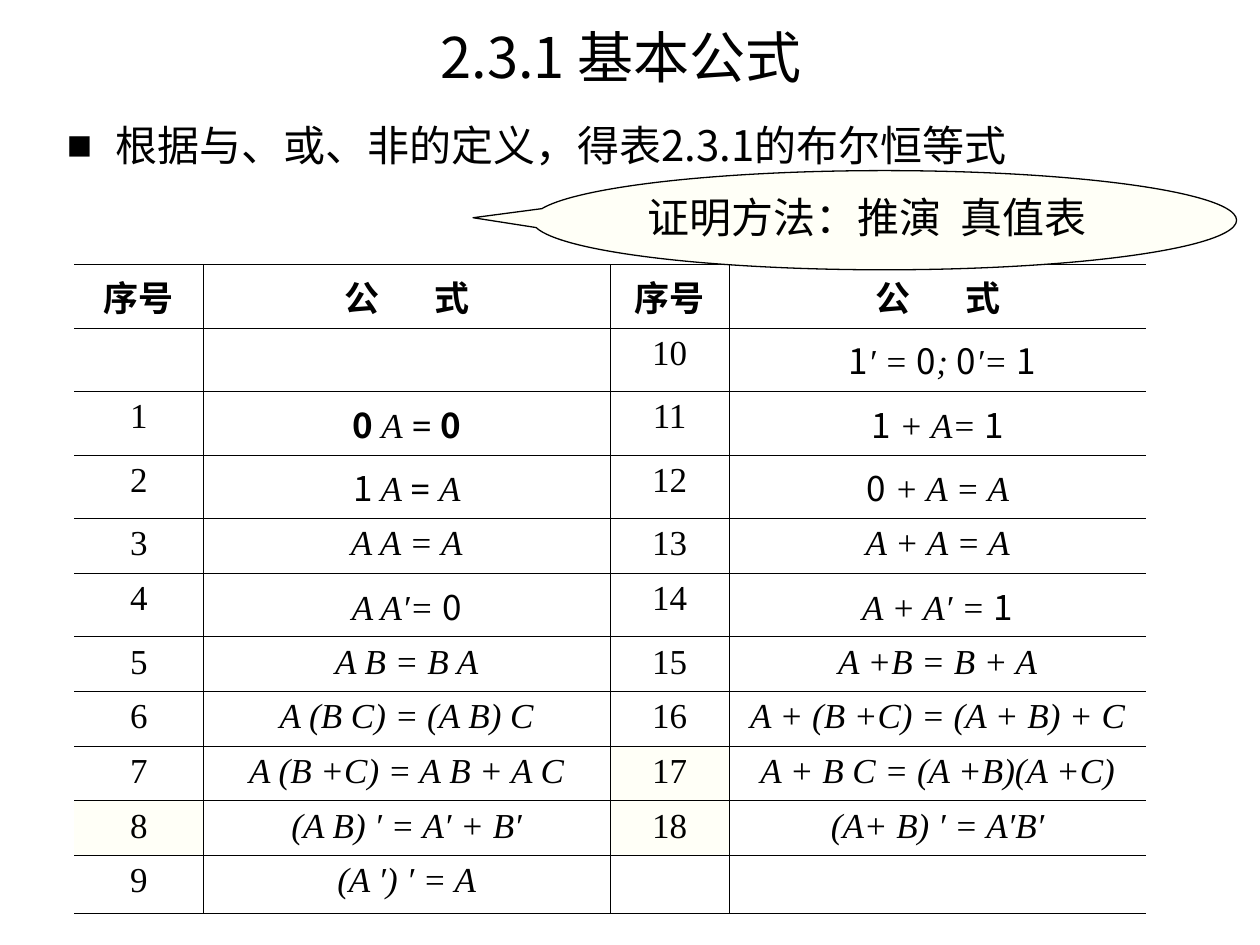
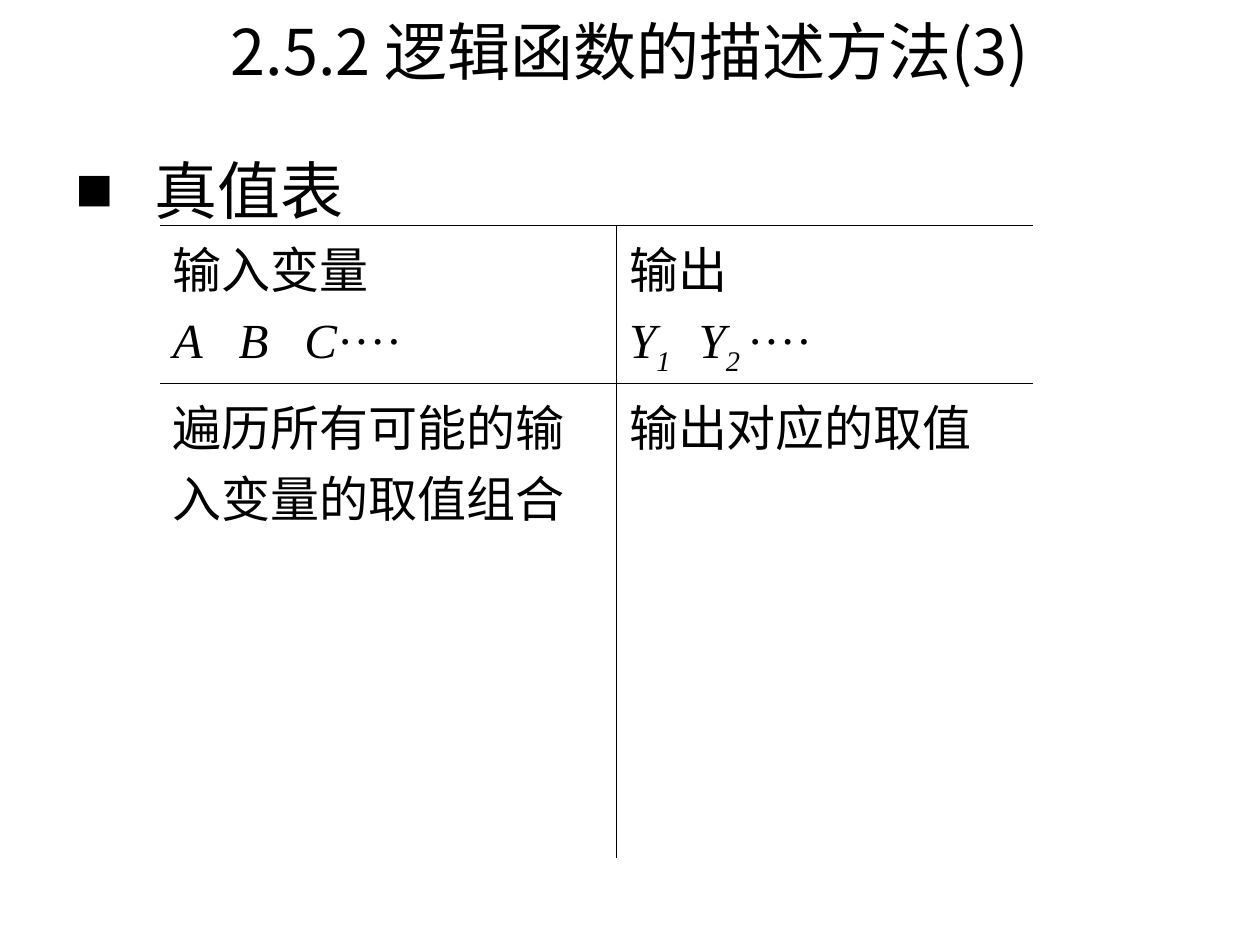
from dataclasses import dataclass
from itertools import groupby

from lxml import etree
from pptx import Presentation
from pptx import util as u
from pptx.dml.color import RGBColor
from pptx.enum import shapes, text
from pptx.oxml import ns


@dataclass(frozen=True)
class Theme:
    ink: RGBColor = RGBColor(0, 0, 0)
    cream: RGBColor = RGBColor(0xFF, 0xFF, 0xF7)
    sans: str = "Noto Sans CJK SC"
    serif: str = "Times New Roman"
    title: int = 32
    large: int = 36
    body: int = 24
    formula: int = 20
    truth: int = 28
    rule: float = 0.45
    outline: float = 0.74


theme = Theme()
CENTER = text.PP_ALIGN.CENTER
MIDDLE = text.MSO_ANCHOR.MIDDLE
TOP = text.MSO_ANCHOR.TOP

# Content: a span is (text, style); "gap" widens a space by that many points
FORMULA_TITLE = "2.3.1 基本公式"
FORMULA_LEAD = "根据与、或、非的定义，得表2.3.1的布尔恒等式"
PROOF_NOTE = [("证明方法：推演", {}), (" ", {"gap": 5.4}), ("真值表", {})]
NUMBER_HEAD = [("序号", {"bold": True})]
FORMULA_HEAD = [("公", {"bold": True}), (" ", {"gap": 27}), ("式", {"bold": True})]
# Formulas: bold parts stand between asterisks
FORMULAS = [
    ("", "", "10", " 1′ = 0; 0′= 1"),
    ("1", "*0* A* = 0*", "11", "1 + A= 1"),
    ("2", "1 A *= *A", "12", "0 + A = A"),
    ("3", "A A = A", "13", "A + A = A"),
    ("4", "A A′= 0", "14", "A + A′ = 1"),
    ("5", "A B = B A", "15", "A +B = B + A"),
    ("6", "A (B C) = (A B) C", "16", "A + (B +C) = (A + B) + C"),
    ("7", "A (B +C) = A B + A C", "17", "A + B C = (A +B)(A +C)"),
    ("8", "(A B) ′ = A′ + B′", "18", "(A+ B) ′ = A′B′"),
    ("9", "(A ′) ′ = A", "", ""),
]
MARKED_NUMBERS = {"8", "17", "18"}

TRUTH_TITLE = "2.5.2 逻辑函数的描述方法(3)"
TRUTH_LEAD = "真值表"
ITALIC = {"italic": True}
SUBSCRIPT = {"italic": True, "base": -25}
DOTS = ("····", {})
INPUTS = [("A", ITALIC), (" ", {"gap": 13.5}), ("B", ITALIC),
          (" ", {"gap": 13.5}), ("C", ITALIC), DOTS]
OUTPUTS = [("Y", ITALIC), ("1", SUBSCRIPT), (" ", {"gap": 9}),
           ("Y", ITALIC), ("2 ", SUBSCRIPT), DOTS]
TRUTH_ROWS = [
    [[[("输入变量", {})], INPUTS], [[("输出", {})], OUTPUTS]],
    [[[("遍历所有可能的输入变量的取值组合", {})]], [[("输出对应的取值", {})]]],
]

# Row heights in cm
TALL, NORMAL, LAST = 1.28, 1.1, 1.18


def add_xml(parent, tag, **attributes):
    return etree.SubElement(parent, ns.qn(tag), attributes)


# Text
def write_para(para, spans, size, font, align=None, before=0):
    para.alignment = align
    para.space_before = u.Pt(before)
    for words, style in spans:
        span = para.add_run()
        span.text = words
        face = span.font
        face.size = u.Pt(size)
        face.name = style.get("font", font)
        face.bold = style.get("bold", False)
        face.italic = style.get("italic", False)
        face.color.rgb = theme.ink
        props = face._element
        add_xml(props, "a:ea", typeface=theme.sans)
        if "gap" in style:
            props.set("spc", str(round(style["gap"] * 100)))
        if "base" in style:
            props.set("baseline", str(style["base"] * 1000))


def add_text(page, place, words, size, align=None, anchor=MIDDLE):
    box = page.shapes.add_textbox(*map(u.Cm, place))
    frame = box.text_frame
    frame.word_wrap = True
    frame.vertical_anchor = anchor
    write_para(frame.paragraphs[0], [(words, {})], size, theme.sans, align)
    return frame.paragraphs[0]


def add_title(page, place, words, size):
    add_text(page, place, words, size, CENTER)


def add_bullet(page, place, words, size, indent, anchor, before=0):
    para = add_text(page, place, words, size, anchor=anchor)
    para.space_before = u.Pt(before)
    props = para._p.get_or_add_pPr()
    props.set("marL", str(u.Cm(indent)))
    props.set("indent", str(-u.Cm(indent)))
    add_xml(props, "a:buFont", typeface=theme.serif)
    add_xml(props, "a:buChar", char="■")


def has_constant(formula):
    return "0" in formula or "1" in formula


def formula_spans(formula):
    """Constants 0 and 1 are upright sans, everything else italic serif."""
    spans = []
    for index, part in enumerate(formula.split("*")):
        for constant, letters in groupby(part, has_constant):
            style = {"bold": index % 2 == 1, "italic": not constant,
                     "font": theme.sans if constant else theme.serif}
            spans.append(("".join(letters), style))
    return spans


# Tables: rules between all cells, open at the left and right
def rule_cell(cell, sides):
    props = cell._tc.get_or_add_tcPr()
    for side in "LRTB":
        line = add_xml(props, f"a:ln{side}", w=str(u.Pt(theme.rule)))
        if side in sides:
            fill = add_xml(line, "a:solidFill")
            add_xml(fill, "a:srgbClr", val=str(theme.ink))
        else:
            add_xml(line, "a:noFill")


def add_grid(page, left, top, widths, heights, closed):
    frame = page.shapes.add_table(
        len(heights), len(widths), u.Cm(left), u.Cm(top),
        u.Cm(sum(widths)), u.Cm(sum(heights)))
    table = frame.table
    table.first_row = table.horz_banding = False
    for column, width in zip(table.columns, widths):
        column.width = u.Cm(width)
    for row, height in zip(table.rows, heights):
        row.height = u.Cm(height)
    for r in range(len(heights)):
        for c in range(len(widths)):
            sides = "T"
            sides += "L" if c > 0 else ""
            sides += "R" if c < len(widths) - 1 else ""
            sides += "B" if closed or r < len(heights) - 1 else ""
            cell = table.cell(r, c)
            rule_cell(cell, sides)
            cell.fill.background()
    return table


deck = Presentation()
deck.slide_width, deck.slide_height = u.Cm(25.4), u.Cm(19.05)
blank = deck.slide_layouts[6]

# Basic formulas: the header and rows with constants are taller
page = deck.slides.add_slide(blank)
add_title(page, (1.09, -0.1, 22.86, 2.46), FORMULA_TITLE, theme.title)
add_bullet(page, (1.1, 2.29, 22.4, 2.59), FORMULA_LEAD, theme.body, 0.97, TOP, 6)

heights = [TALL] + [TALL if has_constant(left + right) else NORMAL
                    for _, left, _, right in FORMULAS[:-1]] + [LAST]
table = add_grid(page, 1.5, 5.33, (2.6, 8.2, 2.4, 8.41), heights, closed=True)
rows = [[NUMBER_HEAD, FORMULA_HEAD] * 2]
for record in FORMULAS:
    rows.append([formula_spans(entry) if c % 2 else [(entry, {})] if entry else []
                 for c, entry in enumerate(record)])
for r, row in enumerate(rows):
    for c, spans in enumerate(row):
        cell = table.cell(r, c)
        write_para(cell.text_frame.paragraphs[0], spans, theme.formula,
                   theme.serif, CENTER, 5 if spans else 0)
        if c % 2 == 0 and cell.text_frame.text in MARKED_NUMBERS:
            cell.fill.solid()
            cell.fill.fore_color.rgb = theme.cream

# Callout on the proof method
callout = page.shapes.add_shape(shapes.MSO_SHAPE.OVAL_CALLOUT,
                                *map(u.Cm, (10.73, 3.44, 14.2, 2.0)))
callout.adjustments[0], callout.adjustments[1] = -0.584, -0.025
callout.shadow.inherit = False
callout.fill.solid()
callout.fill.fore_color.rgb = theme.cream
callout.line.color.rgb = theme.ink
callout.line.width = u.Pt(theme.outline)
callout.text_frame.word_wrap = True
callout.text_frame.vertical_anchor = TOP
write_para(callout.text_frame.paragraphs[0], PROOF_NOTE, theme.body, theme.sans,
           text.PP_ALIGN.LEFT)

# Truth table
page = deck.slides.add_slide(blank)
add_bullet(page, (1.27, 2.58, 22.86, 2.46), TRUTH_LEAD, theme.large, 1.6, MIDDLE)
table = add_grid(page, 3.23, 4.55, (9.2, 8.4), (3.18, 9.57), closed=False)
for r, row in enumerate(TRUTH_ROWS):
    for c, lines in enumerate(row):
        frame = table.cell(r, c).text_frame
        for index, spans in enumerate(lines):
            para = frame.add_paragraph() if index else frame.paragraphs[0]
            write_para(para, spans, theme.truth, theme.serif, before=7)
add_title(page, (1.27, 0.01, 22.86, 2.01), TRUTH_TITLE, theme.large)

deck.save("out.pptx")
